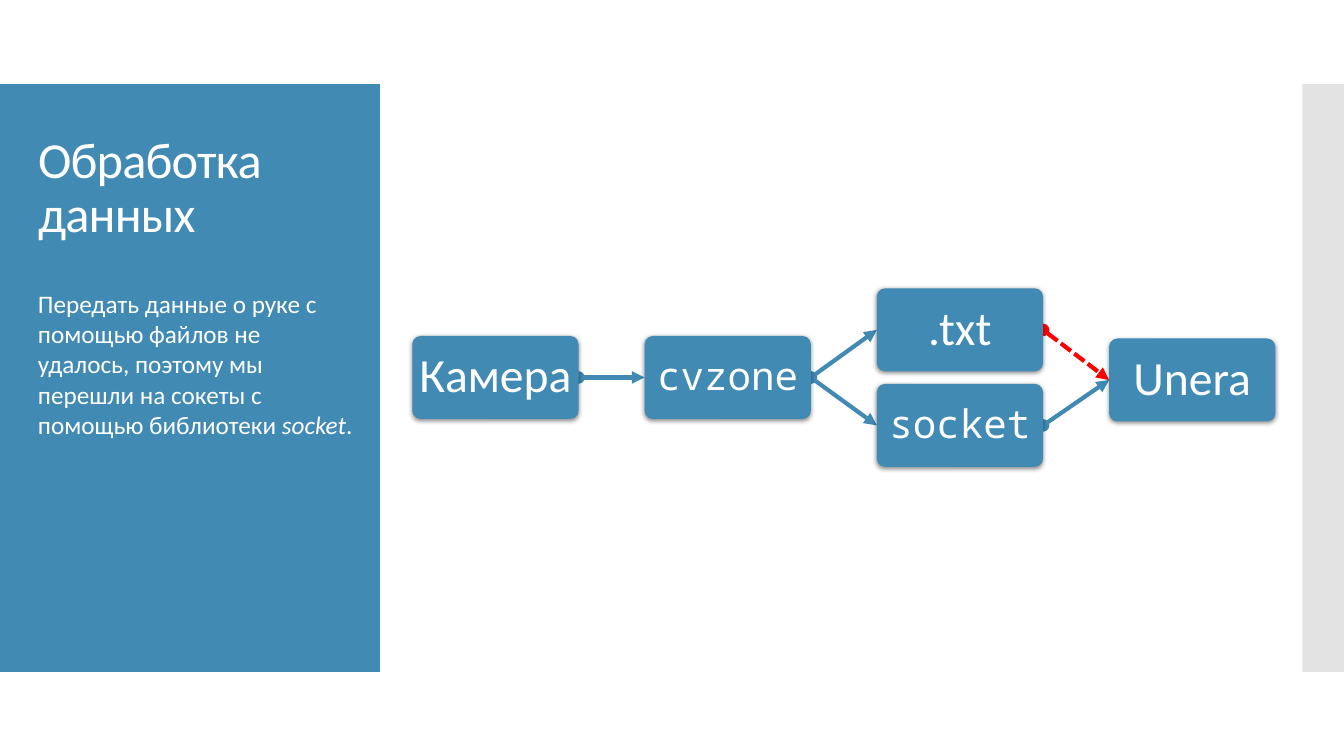
from lxml import etree
from pptx import Presentation
from pptx.dml.color import RGBColor
from pptx.enum.dml import MSO_LINE_DASH_STYLE as Dash
from pptx.enum.shapes import MSO_CONNECTOR as Connector, MSO_SHAPE as Shape
from pptx.enum.text import MSO_ANCHOR as Anchor, MSO_AUTO_SIZE as AutoSize, PP_ALIGN as Align
from pptx.oxml import parse_xml
from pptx.oxml.ns import nsdecls, qn
from pptx.util import Pt

COLORS = {"blue": "418AB3", "grey": "C8C8C8", "red": "FF0000", "white": "FFFFFF"}
SANS, MONO = "Calibri", "Noto Sans Mono"

# Flow diagram grid
FLOW_LEFT, COLUMN_STEP = 294.5, 165.9
NODE_WIDTH, NODE_HEIGHT = 118.8, 59.3
LEFT_SITE, RIGHT_SITE = 1, 3

# Label: column, top, font, size
NODES = {
    "Камера": (0, 240, SANS, 34),
    "cvzone": (1, 240, MONO, 28),
    ".txt": (2, 206, SANS, 34),
    "socket": (2, 274.2, MONO, 28),
    "Unera": (3, 241.8, SANS, 34),
}
# Start, end, color, dashed
LINKS = [
    ("Камера", "cvzone", "blue", False),
    ("cvzone", ".txt", "blue", False),
    ("cvzone", "socket", "blue", False),
    (".txt", "Unera", "red", True),
    ("socket", "Unera", "blue", False),
]


def rgb(name):
    return RGBColor.from_string(COLORS[name])


def add_run(paragraph, text, size, font=SANS, italic=False):
    run = paragraph.add_run()
    run.text = text
    run.font.name = font
    run.font.size = Pt(size)
    run.font.italic = italic
    run.font.color.rgb = rgb("white")
    return run


def add_block(slide, kind, left, top, width, height, color):
    block = slide.shapes.add_shape(kind, Pt(left), Pt(top), Pt(width), Pt(height))
    block.shadow.inherit = False
    block.fill.solid()
    block.fill.fore_color.rgb = rgb(color)
    block.line.fill.background()
    return block


def add_side_bars(slide):
    panel = add_block(slide, Shape.RECTANGLE, 0, 60, 271.4, 420, "blue")
    strip = add_block(slide, Shape.RECTANGLE, 930.2, 60, 29.8, 420, "grey")
    color = strip.fill._xPr.find(".//" + qn("a:srgbClr"))
    etree.SubElement(color, qn("a:alpha"), val="50000")
    # Keep the bars behind the title
    for bar in (panel, strip):
        slide.shapes.title.element.addprevious(bar.element)


def fill_title(slide, text):
    title = slide.shapes.title
    title.left, title.top, title.width, title.height = Pt(20), Pt(88.6), Pt(240), Pt(92.9)
    frame = title.text_frame
    frame.word_wrap = True
    frame.auto_size = AutoSize.NONE
    frame.vertical_anchor = Anchor.MIDDLE
    paragraph = frame.paragraphs[0]
    paragraph.alignment = Align.LEFT
    paragraph.line_spacing = 0.9
    run = add_run(paragraph, text, 36)
    run._r.get_or_add_rPr().set("spc", "-60")


def add_explanation(slide):
    box = slide.shapes.add_textbox(Pt(20), Pt(202.3), Pt(240), Pt(138.2))
    box.text_frame.word_wrap = True
    paragraph = box.text_frame.paragraphs[0]
    add_run(paragraph, "Передать данные о руке с помощью файлов не удалось, "
                       "поэтому мы перешли на сокеты с помощью библиотеки ", 18)
    add_run(paragraph, "socket", 18, italic=True)
    add_run(paragraph, ".", 18)


def add_shadow(shape):
    effects = shape.element.spPr.find(qn("a:effectLst"))
    effects.append(parse_xml(
        f'<a:outerShdw {nsdecls("a")} blurRad="{Pt(3.5)}" dist="{Pt(1.1)}" dir="5400000" '
        'rotWithShape="0"><a:srgbClr val="000000"><a:alpha val="45000"/></a:srgbClr></a:outerShdw>'))


def add_node(slide, label, column, top, font, size):
    left = FLOW_LEFT + column * COLUMN_STEP
    node = add_block(slide, Shape.ROUNDED_RECTANGLE, left, top, NODE_WIDTH, NODE_HEIGHT, "blue")
    node.adjustments[0] = 0.1
    add_shadow(node)
    frame = node.text_frame
    frame.word_wrap = True
    frame.vertical_anchor = Anchor.MIDDLE
    frame.margin_left = frame.margin_right = frame.margin_top = frame.margin_bottom = Pt(3)
    paragraph = frame.paragraphs[0]
    paragraph.alignment = Align.CENTER
    paragraph.line_spacing = 0.9
    add_run(paragraph, label, size, font)
    return node


def add_link(slide, start, end, color, dashed):
    link = slide.shapes.add_connector(Connector.STRAIGHT, 0, 0, 0, 0)
    link.begin_connect(start, RIGHT_SITE)
    link.end_connect(end, LEFT_SITE)
    link.line.color.rgb = rgb(color)
    link.line.width = Pt(3)
    if dashed:
        link.line.dash_style = Dash.SQUARE_DOT
    outline = link.line._get_or_add_ln()
    etree.SubElement(outline, qn("a:headEnd"), type="oval")
    etree.SubElement(outline, qn("a:tailEnd"), type="triangle")
    etree.SubElement(link.element.spPr, qn("a:effectLst"))
    return link


def add_flow(slide):
    nodes = {label: add_node(slide, label, *details) for label, details in NODES.items()}
    first_node = next(iter(nodes.values()))
    # Links lie behind the nodes
    for start, end, color, dashed in LINKS:
        link = add_link(slide, nodes[start], nodes[end], color, dashed)
        first_node.element.addprevious(link.element)


def main():
    presentation = Presentation()
    presentation.slide_width, presentation.slide_height = Pt(960), Pt(540)
    title_only = presentation.slide_layouts[5]
    slide = presentation.slides.add_slide(title_only)
    add_side_bars(slide)
    fill_title(slide, "Обработка данных")
    add_explanation(slide)
    add_flow(slide)
    presentation.save("out.pptx")


if __name__ == "__main__":
    main()
